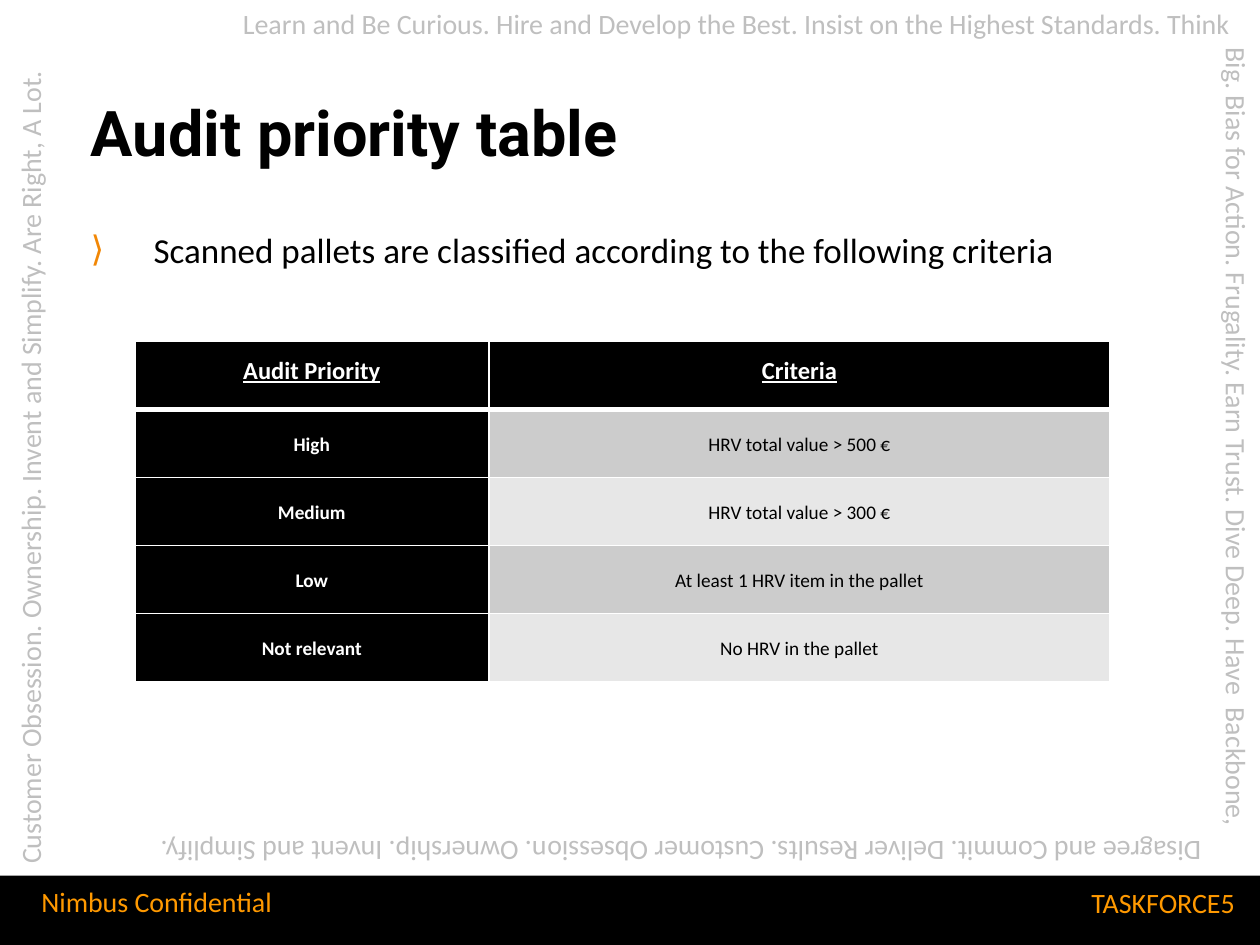
"""Build the audit priority slide."""
from dataclasses import dataclass

from lxml import etree
from pptx import Presentation
from pptx.dml.color import RGBColor
from pptx.enum import shapes, text
from pptx.oxml import ns
from pptx.util import Inches, Pt

HUES = {"black": "000000", "white": "FFFFFF", "grey": "BFBFBF", "gold": "FF9900",
        "mark": "F28705", "dark": "CCCCCC", "light": "E7E7E7"}
LEFT, RIGHT, MID = text.PP_ALIGN.LEFT, text.PP_ALIGN.RIGHT, text.PP_ALIGN.CENTER
TOP, LOW = text.MSO_ANCHOR.TOP, text.MSO_ANCHOR.BOTTOM


@dataclass
class Font:
    size: float
    hue: str
    face: str = "Calibri"
    bold: bool = False
    line: bool = False


@dataclass
class Label:
    words: str
    box: tuple[float, float, float, float]
    font: Font
    turn: int = 0
    align: int = LEFT
    anchor: int = TOP
    space: float = 1.0


EDGE, FOOT = Font(16, "grey"), Font(16, "gold")
LABELS = [
    Label("Customer Obsession. Ownership. Invent and Simplify. Are Right, A Lot.",
          (-3.02, 3.51, 6.52, 0.37), EDGE, 270),
    Label("Learn and Be Curious. Hire and Develop the Best. Insist on the Highest "
          "Standards. Think", (1.83, 0, 8.17, 0.37), EDGE),
    Label("Big. Bias for Action. Frugality. Earn Trust. Dive Deep. Have  Backbone,",
          (6.48, 3.43, 6.67, 0.37), EDGE, 90),
    Label("Disagree and Commit. Deliver Results. Customer Obsession. Ownership. "
          "Invent and Simplify.", (0.43, 6.58, 9.2, 0.37), EDGE, 180),
    Label("Nimbus Confidential", (0.23, 6.97, 3.38, 0.37), FOOT),
    Label("TASKFORCE5", (4.74, 6.95, 5.16, 0.4), FOOT, 0, RIGHT, LOW, 0.9),
]
TITLE = Label("Audit priority table", (0.62, 0.76, 8.62, 0.95),
              Font(36, "black", "Roboto", True), space=0.9)
POINT = Label("Scanned pallets are classified according to the following criteria",
              (0.62, 1.8, 8.38, 4.77), Font(20, "black"), space=0.9)
ROWS = [
    ("Audit Priority", "Criteria"),
    ("High", "HRV total value > 500 €"),
    ("Medium", "HRV total value > 300 €"),
    ("Low", "At least 1 HRV item in the pallet"),
    ("Not relevant", "No HRV in the pallet"),
]
COLS, TALL = (2.81, 4.93), 0.54


def tint(hue: str) -> RGBColor:
    return RGBColor.from_string(HUES[hue])


def write(para, words: str, font: Font, align: int, space: float) -> None:
    para.alignment, para.line_spacing = align, space
    run = para.add_run()
    run.text = words
    face = run.font
    face.name, face.size = font.face, Pt(font.size)
    face.bold, face.underline = font.bold, font.line
    face.color.rgb = tint(font.hue)


def place(shape, label: Label):
    shape.left, shape.top, shape.width, shape.height = map(Inches, label.box)
    shape.rotation = label.turn
    frame = shape.text_frame
    frame.word_wrap, frame.vertical_anchor = True, label.anchor
    frame.auto_size = text.MSO_AUTO_SIZE.NONE
    para = frame.paragraphs[0]
    write(para, label.words, label.font, label.align, label.space)
    return para


def add_label(slide, label: Label):
    return place(slide.shapes.add_textbox(0, 0, 0, 0), label)


def add_mark(para, sign: str) -> None:
    props = para._p.get_or_add_pPr()
    props.set("marL", str(Inches(0.5)))
    props.set("indent", str(Inches(-0.5)))
    tone = etree.SubElement(props, ns.qn("a:buClr"))
    etree.SubElement(tone, ns.qn("a:srgbClr"), val=HUES["mark"])
    etree.SubElement(props, ns.qn("a:buFont"), typeface="Calibri")
    etree.SubElement(props, ns.qn("a:buChar"), char=sign)


def add_edges(cell, top: float, low: float) -> None:
    props = cell._tc.get_or_add_tcPr()
    for side, wide in zip("LRTB", (1, 1, top, low)):
        line = etree.SubElement(props, ns.qn(f"a:ln{side}"), w=str(Pt(wide)))
        fill = etree.SubElement(line, ns.qn("a:solidFill"))
        etree.SubElement(fill, ns.qn("a:srgbClr"), val=HUES["white"])


def fill_cell(cell, words: str, row: int, col: int) -> None:
    head, key = row == 0, row == 0 or col == 0
    add_edges(cell, 3 if row == 1 else 1, 3 if head else 1)
    cell.fill.solid()
    cell.fill.fore_color.rgb = tint("black" if key else "dark" if row % 2 else "light")
    cell.margin_left = cell.margin_right = Inches(0.07)
    cell.margin_top = cell.margin_bottom = 0
    cell.vertical_anchor = TOP
    font = Font(14 if head else 11, "white" if key else "black", bold=key, line=head)
    write(cell.text_frame.paragraphs[0], words, font, MID, 1.5 if head else 2.0)


def add_grid(slide) -> None:
    grid = slide.shapes.add_table(
        len(ROWS), len(COLS), Inches(1.07), Inches(2.71),
        Inches(sum(COLS)), Inches(TALL * len(ROWS))).table
    for col, wide in zip(grid.columns, COLS):
        col.width = Inches(wide)
    for row, cells in enumerate(ROWS):
        grid.rows[row].height = Inches(TALL)
        for col, words in enumerate(cells):
            fill_cell(grid.cell(row, col), words, row, col)


def add_band(slide) -> None:
    band = slide.shapes.add_shape(shapes.MSO_SHAPE.RECTANGLE, 0, Inches(6.95),
                                  Inches(10), Inches(0.55))
    band.shadow.inherit = False
    band.fill.solid()
    band.fill.fore_color.rgb = tint("black")
    band.line.fill.background()


def main() -> None:
    deck = Presentation()
    deck.slide_width, deck.slide_height = Inches(10), Inches(7.5)
    slide = deck.slides.add_slide(deck.slide_layouts[5])
    add_band(slide)
    for label in LABELS:
        add_label(slide, label)
    place(slide.shapes.title, TITLE)
    point = add_label(slide, POINT)
    point.space_before = Pt(10)
    add_mark(point, "⟩")
    add_grid(slide)
    deck.save("out.pptx")


if __name__ == "__main__":
    main()
